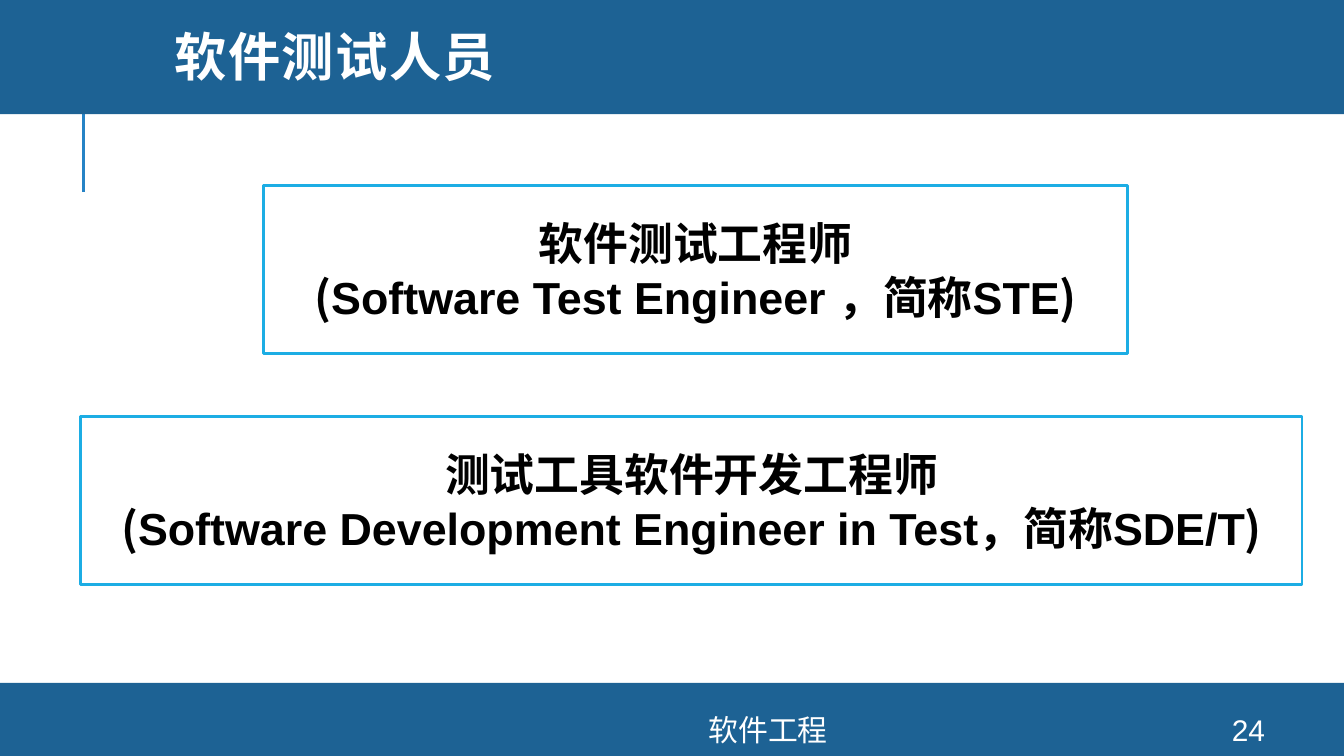
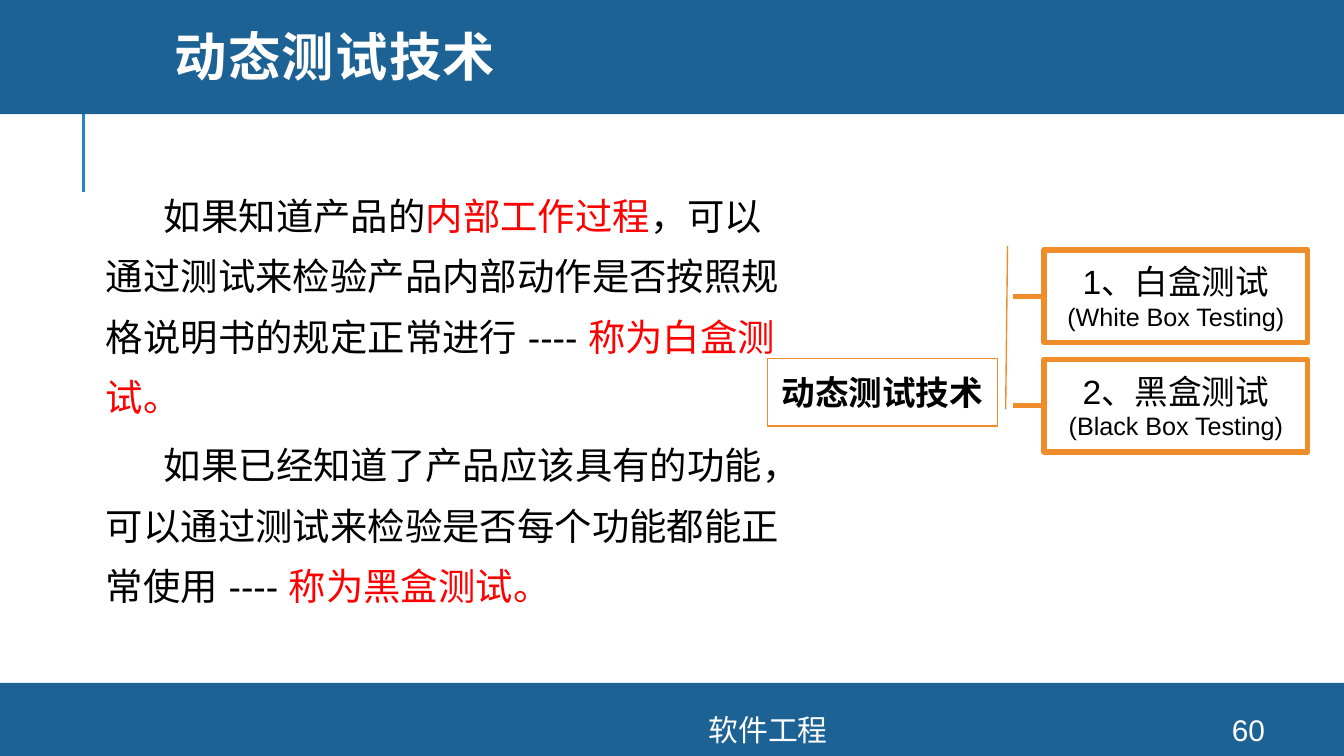
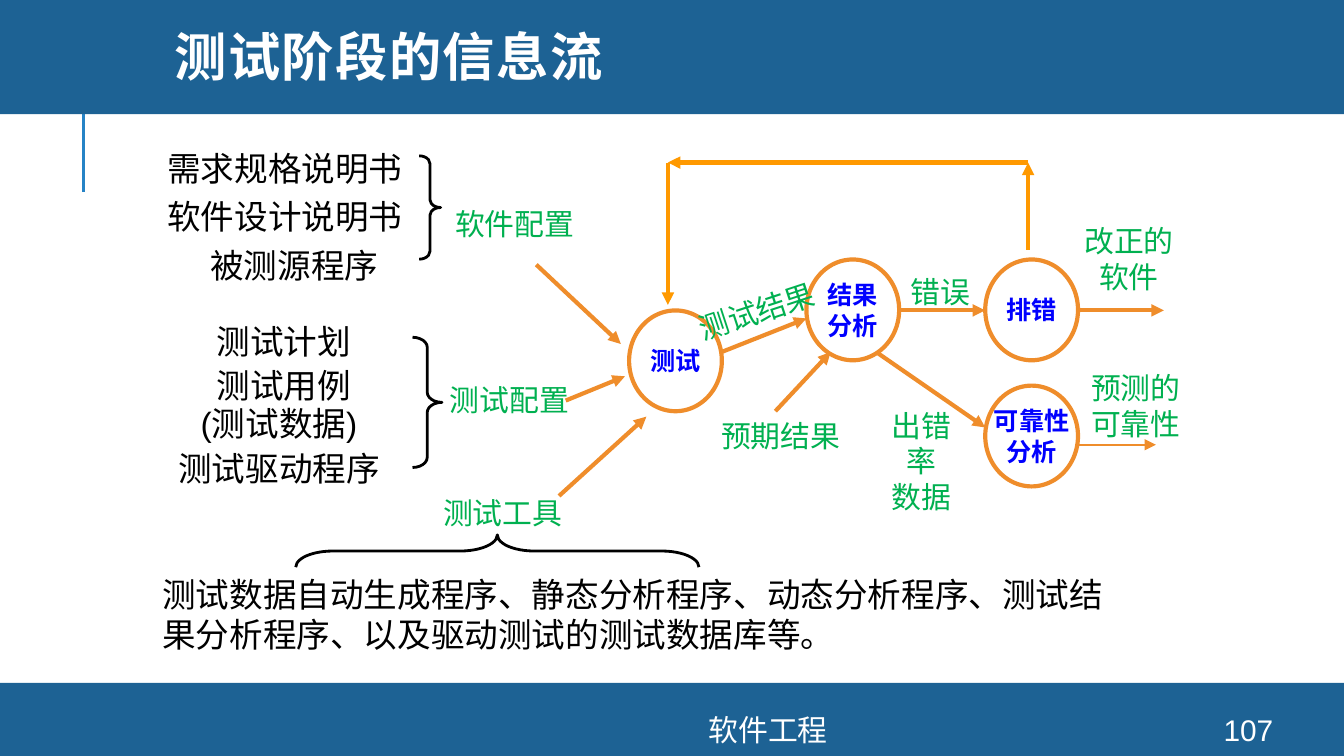
from dataclasses import dataclass, replace

from lxml import etree
from pptx import Presentation
from pptx.dml.color import RGBColor
from pptx.enum.shapes import MSO_CONNECTOR, MSO_SHAPE
from pptx.enum.text import MSO_ANCHOR, MSO_AUTO_SIZE, PP_ALIGN
from pptx.oxml.ns import qn
from pptx.util import Pt

LEFT, CENTER = PP_ALIGN.LEFT, PP_ALIGN.CENTER
TOP, MIDDLE = MSO_ANCHOR.TOP, MSO_ANCHOR.MIDDLE
NO_FIT, GROW = MSO_AUTO_SIZE.NONE, MSO_AUTO_SIZE.SHAPE_TO_FIT_TEXT
RECTANGLE, ELLIPSE = MSO_SHAPE.RECTANGLE, MSO_SHAPE.OVAL
BRACE, CALLOUT = MSO_SHAPE.RIGHT_BRACE, MSO_SHAPE.LINE_CALLOUT_1
STRAIGHT = MSO_CONNECTOR.STRAIGHT
TITLE_ONLY = 5
LEFT_SIDE = 1


@dataclass(frozen=True)
class Style:
    size: float
    color: str
    bold: bool = False
    font: str = "Arial"
    tracking: int = 0


@dataclass(frozen=True)
class Para:
    runs: tuple
    align: int = CENTER
    line: float = 1
    before: float = 0
    margin: float = 0
    first: float = 0


@dataclass(frozen=True)
class Theme:
    white: str = "FFFFFF"
    black: str = "000000"
    band: str = "1D6294"
    rail: str = "2683C6"
    role_border: str = "1CADE4"
    orange: str = "EF8D2B"
    loop: str = "FF9900"
    title: Style = Style(28, "FFFFFF", True, "Montserrat", 80)
    footer: Style = Style(16, "FFFFFF")
    role: Style = Style(24, "000000", True, "Noto Sans CJK SC")
    body: Style = Style(20, "000000")
    key: Style = Style(20, "FF0000")
    item: Style = Style(18, "000000")
    small: Style = Style(13.5, "000000")
    node: Style = Style(13.5, "0000FF", True)
    label: Style = Style(16, "00B050")


THEME = Theme()


def rgb(value):
    return RGBColor.from_string(value)


def para(text, style, **options):
    return Para(((text, style),), **options)


def lines(texts, style, **options):
    return [para(text, style, **options) for text in texts]


def write(frame, paras, anchor=TOP, wrap=True, fit=NO_FIT):
    frame.word_wrap = wrap
    frame.auto_size = fit
    frame.vertical_anchor = anchor
    for index, item in enumerate(paras):
        paragraph = frame.add_paragraph() if index else frame.paragraphs[0]
        paragraph.alignment = item.align
        if item.line != 1:
            paragraph.line_spacing = item.line
        if item.before:
            paragraph.space_before = Pt(item.before)
        properties = paragraph._p.get_or_add_pPr()
        if item.margin or item.first:
            properties.set("marL", str(Pt(item.margin)))
            properties.set("indent", str(Pt(item.first)))
        for text, style in item.runs:
            add_run(paragraph, text, style)


def add_run(paragraph, text, style):
    run = paragraph.add_run()
    run.text = text
    run.font.size = Pt(style.size)
    run.font.bold = style.bold
    run.font.name = style.font
    run.font.color.rgb = rgb(style.color)
    properties = run._r.get_or_add_rPr()
    etree.SubElement(properties, qn("a:ea"), typeface=style.font)
    if style.tracking:
        properties.set("spc", str(style.tracking))


def add_box(slide, kind, place, fill=None, border=None, width=1, paras=(), wrap=False):
    box = slide.shapes.add_shape(kind, *map(Pt, place))
    box.shadow.inherit = False
    if fill:
        box.fill.solid()
        box.fill.fore_color.rgb = rgb(fill)
    else:
        box.fill.background()
    if border:
        box.line.color.rgb = rgb(border)
        box.line.width = Pt(width)
    else:
        box.line.fill.background()
    if paras:
        write(box.text_frame, paras, MIDDLE, wrap)
    return box


def add_text(slide, place, paras, anchor=TOP, wrap=True, fit=GROW):
    box = slide.shapes.add_textbox(*map(Pt, place))
    write(box.text_frame, paras, anchor, wrap, fit)
    return box


def add_line(slide, ends, color, width, arrow=False):
    connector = slide.shapes.add_connector(STRAIGHT, *map(Pt, ends))
    connector.line.color.rgb = rgb(color)
    connector.line.width = Pt(width)
    properties = connector.element.spPr
    if arrow:
        etree.SubElement(properties.find(qn("a:ln")), qn("a:tailEnd"), type="triangle")
    etree.SubElement(properties, qn("a:effectLst"))
    return connector


def add_brace(slide, place, curve, rotation=0):
    brace = add_box(slide, BRACE, place, border=THEME.black, width=1.5)
    brace.adjustments[0] = curve
    brace.adjustments[1] = 0.5
    brace.rotation = rotation


def move_frame_to_layout(slide):
    parts = (
        add_line(slide, (44.6, 103, 44.6, 49), THEME.rail, 1.5),
        add_box(slide, RECTANGLE, (0, 365.8, 720, 39.2), THEME.band),
        add_box(slide, RECTANGLE, (0, 0, 720, 61.2), THEME.band),
    )
    for part in parts:
        slide.slide_layout.shapes.element.append(part.element)


def new_slide(deck, heading, number):
    slide = deck.slides.add_slide(deck.slide_layouts[TITLE_ONLY])
    if len(deck.slides) == 1:
        move_frame_to_layout(slide)
    title = slide.shapes.title
    title.left, title.top, title.width, title.height = map(Pt, (86.4, 0, 611.3, 65.5))
    write(title.text_frame, [para(heading, THEME.title, align=LEFT, line=0.8)], MIDDLE)
    for left, width, text in ((188, 447, "软件工程"), (640, 57.6, number)):
        add_text(slide, (left, 382.3, width, 16.6), [para(text, THEME.footer)], MIDDLE, fit=NO_FIT)
    return slide


def build_roles(deck):
    slide = new_slide(deck, "软件测试人员", "24")
    latin = replace(THEME.role, font="Arial")
    roles = (
        (43.2, 223.2, 654.5, "测试工具软件开发工程师", "Software Development Engineer in Test，简称SDE/T"),
        (141.1, 99.4, 463, "软件测试工程师", "Software Test Engineer ，简称STE"),
    )
    for left, top, width, name, english in roles:
        paras = [
            para(name, THEME.role),
            Para((("(", THEME.role), (english, latin), (")", THEME.role))),
        ]
        add_box(slide, RECTANGLE, (left, top, width, 90), THEME.white, THEME.role_border, 1.25, paras)


def build_dynamic_testing(deck):
    slide = new_slide(deck, "动态测试技术", "60")
    callout = add_box(slide, CALLOUT, (411.1, 192.2, 123.1, 36), border=THEME.orange, width=0.75,
                      paras=[para("动态测试技术", replace(THEME.item, bold=True))], wrap=True)
    for index, value in enumerate((0.75, 1.037, -1.678, 1.045)):
        callout.adjustments[index] = value

    left, height = 559.4, 49.7
    methods = (("1、白盒测试", "(White Box Testing)"), ("2、黑盒测试", "(Black Box Testing)"))
    for index, (name, english) in enumerate(methods):
        top = 133.9 + 58.6 * index
        method = add_box(slide, RECTANGLE, (left, top, 141.1, height), border=THEME.orange, width=3,
                         paras=[para(name, THEME.item), para(english, THEME.small)])
        middle = top + height / 2
        branch = add_line(slide, (542.9, middle, left, middle), THEME.orange, 3)
        branch.end_connect(method, LEFT_SIDE)

    body, key = THEME.body, THEME.key
    white_box = (
        ("如果知道产品的", body),
        ("内部工作过程", key),
        ("，可以通过测试来检验产品内部动作是否按照规格说明书的规定正常进行 ---- ", body),
        ("称为白盒测试。", key),
    )
    black_box = (
        ("如果已经知道了产品应该具有的功能，可以通过测试来检验是否每个功能都能正常使用 ---- ", body),
        ("称为黑盒测试。", key),
    )
    add_text(slide, (49.7, 91.4, 375.8, 246.2), [
        Para(white_box, LEFT, 1.35, first=31),
        Para(black_box, LEFT, 1.35, before=4, first=31),
    ])


def build_information_flow(deck):
    slide = new_slide(deck, "测试阶段的信息流", "107")
    nodes = (
        (337, 166.3, ["测试"]),
        (432, 139, ["结果", "分析"]),
        (527.8, 139, ["排错"]),
        (527.8, 206.6, ["可靠性", "分析"]),
    )
    for left, top, texts in nodes:
        add_box(slide, ELLIPSE, (left, top, 49.7, 54), border=THEME.orange, width=2.25,
                paras=lines(texts, THEME.node))

    labels = (
        (236.2, 106.6, 79.2, ["软件配置"], 0),
        (365.8, 153.4, 79.2, ["测试结果"], -18.3),
        (573.1, 115.9, 63.4, ["改正的", "软件"], 0),
        (378.7, 220.3, 79.2, ["预期结果"], 0),
        (576.7, 194.4, 63.4, ["预测的", "可靠性"], 0),
        (480.2, 143.3, 46.8, ["错误"], 0),
        (233.3, 200.9, 79.2, ["测试配置"], 0),
        (229.7, 261.4, 79.2, ["测试工具"], 0),
    )
    for left, top, width, texts, rotation in labels:
        height = 7.2 + 19.4 * len(texts)
        label = add_text(slide, (left, top, width, height), lines(texts, THEME.label), wrap=False)
        label.rotation = rotation
    add_text(slide, (465.8, 214.6, 55.4, 65.5), lines(["出错率", "数据"], THEME.label))

    flows = (
        (287.3, 141.8, 332.6, 184.3),
        (303.1, 214.6, 334.8, 201.6),
        (299.5, 265.7, 346.3, 223.2),
        (386.6, 188.6, 432, 170.6),
        (415.4, 220.3, 445, 188.6),
        (469.4, 188.6, 527.8, 229),
        (482.4, 166.3, 527.8, 166.3),
        (577.4, 166.3, 623.5, 166.3),
    )
    for ends in flows:
        add_line(slide, ends, THEME.orange, 2.25, True)
    add_line(slide, (577.4, 238.3, 619.2, 238.3), THEME.orange, 1, True)

    feedback = ((550.8, 133.9), (550.8, 87.1), (357.8, 87.1), (357.8, 163.4))
    for start, end in zip(feedback, feedback[1:]):
        add_line(slide, start + end, THEME.loop, 2.25, True)

    add_brace(slide, (224.6, 83.5, 11.5, 55.4), 0.361)
    add_brace(slide, (221, 180.7, 15.8, 69.8), 0.342)
    add_brace(slide, (257.8, 187.2, 17.3, 216), 1.149, 270)

    item = THEME.item
    add_text(slide, (76.3, 71.3, 152.6, 85.7), [
        *lines(["需求规格说明书", "软件设计说明书"], item, line=1.2),
        para("被测源程序", item, line=1.2, margin=10),
    ])
    add_text(slide, (77.8, 166.3, 143.3, 100.8), [
        *lines(["测试计划", "测试用例"], item, line=1.1, margin=5),
        para("(测试数据)", item, line=0.95),
        para("测试驱动程序", item, line=0.95, before=3.6),
    ])
    tools = "测试数据自动生成程序、静态分析程序、动态分析程序、测试结果分析程序、以及驱动测试的测试数据库等。"
    add_text(slide, (79.9, 303.8, 532.8, 51.1), [para(tools, item, align=LEFT)])


def main():
    deck = Presentation()
    deck.slide_width, deck.slide_height = Pt(720), Pt(405)
    build_roles(deck)
    build_dynamic_testing(deck)
    build_information_flow(deck)
    deck.save("out.pptx")


if __name__ == "__main__":
    main()
